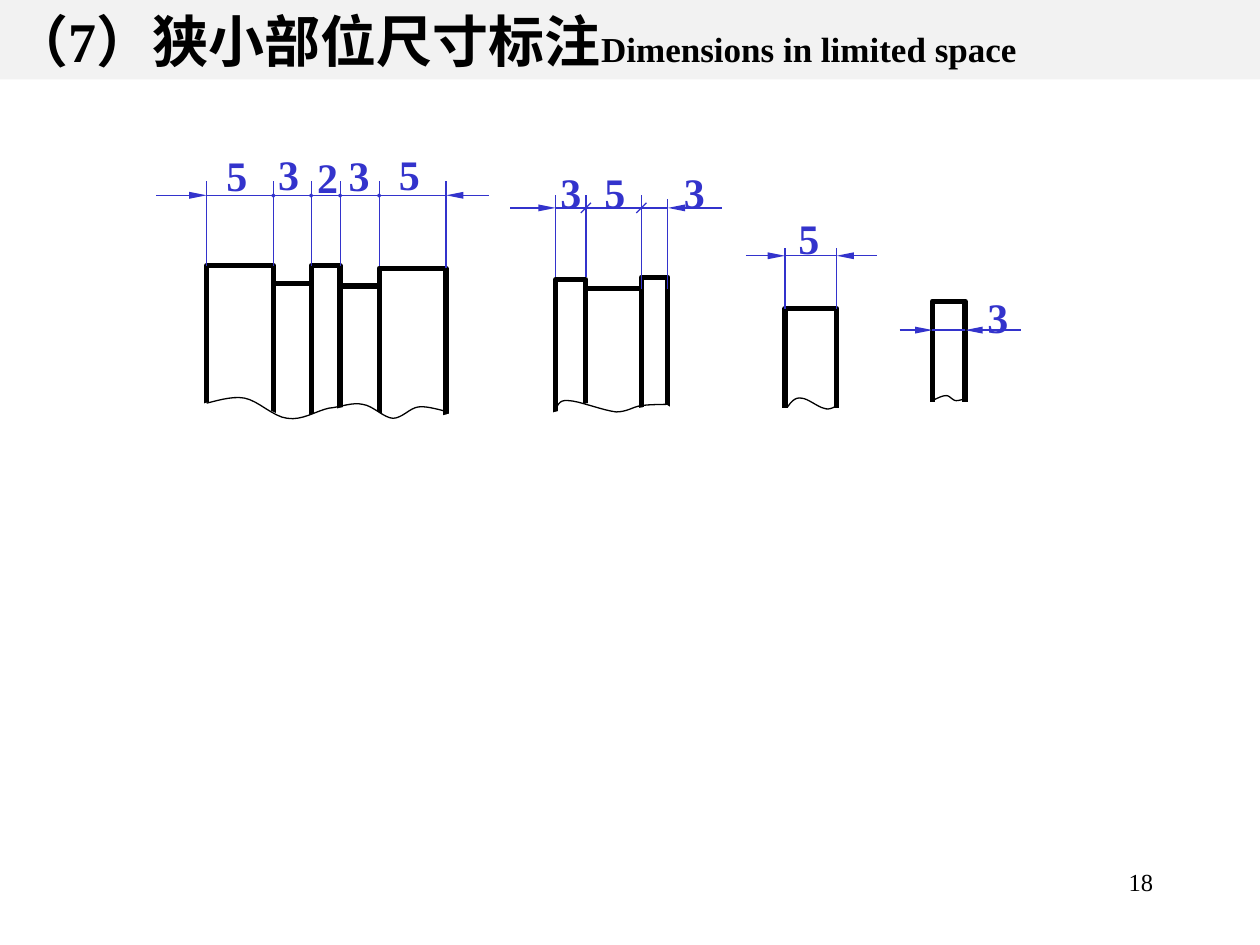
"""Build the slide on dimensioning in limited space."""
from lxml import etree
from pptx import Presentation, util as u
from pptx.dml.color import RGBColor
from pptx.enum import shapes, text
from pptx.oxml.ns import qn

BLACK = RGBColor(0x00, 0x00, 0x00)
WHITE = RGBColor(0xFF, 0xFF, 0xFF)
BAND = RGBColor(0xF2, 0xF2, 0xF2)
BLUE = RGBColor(0x33, 0x33, 0xCC)
FONT = "Times New Roman"
UNIT_CM = 2.54
CURVE_STEPS = 8

TITLE = [("（7）狭小部位尺寸标注", 32), ("Dimensions in limited space", 20)]
PAGE_NUMBER = "18"

VIEWS = [
    {
        "edges": [1.64, 2.17, 2.47, 2.7, 3.01, 3.54],
        "bars": [(2.11, 1.7), (2.25, 1.41), (2.11, 1.7), (2.27, 1.41), (2.13, 1.7)],
        "extensions": [(2.11, 1.44)] * 5 + [(2.13, 1.44)],
        "dimension": (1.24, 1.55, 3.88),
        "separator": "dot",
        "labels": [("5", 1.88, 1.39), ("3", 2.29, 1.38), ("2", 2.6, 1.4),
                   ("3", 2.85, 1.39), ("5", 3.25, 1.38)],
        "mask": [(1.49, 3.24), (1.87, 3.13), (2.3, 3.33), (2.86, 3.2), (3.22, 3.38),
                 (3.72, 3.24), (3.72, 3.94), (1.46, 3.94)],
        "wave": [(1.64, 3.2), (1.69, 3.19), (1.84, 3.14), (1.94, 3.16),
                 (2.05, 3.18), (2.17, 3.31), (2.28, 3.32), (2.4, 3.34), (2.51, 3.26),
                 (2.61, 3.24), (2.71, 3.23), (2.8, 3.19), (2.88, 3.21), (2.96, 3.22),
                 (3.05, 3.32), (3.12, 3.32), (3.19, 3.32), (3.25, 3.24), (3.32, 3.23),
                 (3.39, 3.22), (3.51, 3.26), (3.56, 3.27)],
    },
    {
        "edges": [4.41, 4.65, 5.09, 5.3],
        "bars": [(2.22, 1.51), (2.29, 1.37), (2.2, 1.54)],
        "extensions": [(2.2, 1.55), (2.2, 1.55), (2.29, 1.55), (2.29, 1.58)],
        "dimension": (4.05, 1.65, 5.73),
        "separator": "slash",
        "labels": [("3", 4.53, 1.52), ("5", 4.88, 1.52), ("3", 5.51, 1.52)],
        "mask": [(4.26, 3.31), (4.66, 3.2), (4.91, 3.27), (5.27, 3.2), (5.45, 3.31),
                 (5.45, 3.9), (4.21, 3.83)],
        "wave": [(4.41, 3.24), (4.43, 3.23), (4.43, 3.17), (4.51, 3.18),
                 (4.59, 3.18), (4.79, 3.26), (4.89, 3.27), (4.98, 3.27), (5.02, 3.23),
                 (5.09, 3.22), (5.16, 3.21), (5.27, 3.21), (5.31, 3.21)],
    },
    {
        "edges": [6.23, 6.64],
        "bars": [(2.45, 1.03)],
        "extensions": [(2.45, 1.97)] * 2,
        "dimension": (5.92, 2.03, 6.96),
        "labels": [("5", 6.42, 1.89)],
        "mask": [(6.17, 3.24), (6.73, 3.24), (6.73, 3.57), (6.17, 3.57)],
        "wave": [(6.25, 3.23), (6.28, 3.19), (6.31, 3.15), (6.36, 3.16),
                 (6.41, 3.16), (6.49, 3.23), (6.54, 3.24), (6.59, 3.26), (6.63, 3.22),
                 (6.65, 3.22)],
    },
    {
        "edges": [7.4, 7.66],
        "bars": [(2.39, 1.08)],
        "extensions": [],
        "dimension": (7.14, 2.62, 8.1),
        "labels": [("3", 7.92, 2.51)],
        "mask": [(7.34, 3.19), (7.73, 3.19), (7.73, 3.53), (7.34, 3.53)],
        "wave": [(7.4, 3.18), (7.44, 3.16), (7.48, 3.14), (7.51, 3.14),
                 (7.54, 3.14), (7.56, 3.18), (7.59, 3.18), (7.61, 3.18), (7.64, 3.17),
                 (7.68, 3.16)],
    },
]


def scaled(*values):
    return [u.Cm(UNIT_CM * value) for value in values]


def style_span(span, size, colour, bold=True):
    span.font.name = FONT
    span.font.size = u.Pt(size)
    span.font.bold = bold
    span.font.color.rgb = colour


def add_rectangle(parent, left, top, width, height):
    box = parent.add_shape(shapes.MSO_SHAPE.RECTANGLE, *scaled(left, top, width, height))
    box.shadow.inherit = False
    return box


def add_line(parent, start, end, arrow=False):
    line = parent.add_connector(shapes.MSO_CONNECTOR.STRAIGHT, *scaled(*start, *end))
    line.line.color.rgb = BLUE
    line.line.width = u.Pt(0.75)
    properties = line._element.spPr
    if arrow:
        etree.SubElement(properties.find(qn("a:ln")), qn("a:tailEnd"),
                         type="triangle", w="sm", len="lg")
    etree.SubElement(properties, qn("a:effectLst"))


def add_label(parent, wording, x, y, width, height, size):
    box = parent.add_textbox(*scaled(x - width / 2, y - height / 2, width, height))
    frame = box.text_frame
    frame.text = wording
    frame.word_wrap = False
    frame.auto_size = text.MSO_AUTO_SIZE.SHAPE_TO_FIT_TEXT
    frame.vertical_anchor = text.MSO_ANCHOR.MIDDLE
    para = frame.paragraphs[0]
    para.alignment = text.PP_ALIGN.CENTER
    style_span(para.runs[0], size, BLUE)


def add_outline(parent, points, close):
    first, *rest = [scaled(*point) for point in points]
    builder = parent.build_freeform(*first)
    builder.add_line_segments(rest, close=close)
    outline = builder.convert_to_shape()
    outline.shadow.inherit = False
    return outline


def trace_curve(knots):
    points = [knots[0]]
    for i in range(0, len(knots) - 1, 3):
        for step in range(1, CURVE_STEPS + 1):
            t = step / CURVE_STEPS
            weights = ((1 - t) ** 3, 3 * t * (1 - t) ** 2, 3 * t * t * (1 - t), t ** 3)
            points.append([sum(w * knot[axis] for w, knot in zip(weights, knots[i:i + 4]))
                           for axis in (0, 1)])
    return points


def draw_view(page, view):
    group = page.shapes.add_group_shape().shapes
    edges = view["edges"]
    for left, right, (top, height) in zip(edges, edges[1:], view["bars"]):
        bar = add_rectangle(group, left, top, right - left, height)
        bar.fill.background()
        bar.line.color.rgb = BLACK
        bar.line.width = u.Pt(3)
    for x, (low, high) in zip(edges, view["extensions"]):
        add_line(group, (x, low), (x, high))
    start, y, end = view["dimension"]
    add_line(group, (start, y), (edges[0], y), arrow=True)
    add_line(group, (edges[0], y), (edges[-1], y))
    add_line(group, (end, y), (edges[-1], y), arrow=True)
    for x in edges[1:-1]:
        if view["separator"] == "dot":
            add_label(group, "●", x, y, 0.27, 0.18, 5)
        else:
            add_line(group, (x + 0.04, y - 0.04), (x - 0.04, y + 0.04))
    for wording, x, middle in view["labels"]:
        add_label(group, wording, x, middle, 0.37, 0.5, 24)
    mask = add_outline(group, view["mask"], close=True)
    mask.fill.solid()
    mask.fill.fore_color.rgb = WHITE
    mask.line.fill.background()
    wave = add_outline(group, trace_curve(view["wave"]), close=False)
    wave.fill.background()
    wave.line.color.rgb = BLACK
    wave.line.width = u.Pt(0.75)


def main():
    deck = Presentation()
    deck.slide_width, deck.slide_height = scaled(10, 7.5)
    page = deck.slides.add_slide(deck.slide_layouts[6])

    number = page.shapes.add_textbox(*scaled(7.17, 6.83, 2.08, 0.5)).text_frame
    number.word_wrap = True
    number.text = PAGE_NUMBER
    number.paragraphs[0].alignment = text.PP_ALIGN.RIGHT
    style_span(number.paragraphs[0].runs[0], 14, BLACK, bold=False)

    band = add_rectangle(page.shapes, 0, 0, 10, 0.63)
    band.fill.solid()
    band.fill.fore_color.rgb = BAND
    band.line.fill.background()
    band.text_frame.vertical_anchor = text.MSO_ANCHOR.MIDDLE
    para = band.text_frame.paragraphs[0]
    para.alignment = text.PP_ALIGN.LEFT
    for wording, size in TITLE:
        span = para.add_run()
        span.text = wording
        style_span(span, size, BLACK)

    for view in VIEWS:
        draw_view(page, view)
    deck.save("out.pptx")


if __name__ == "__main__":
    main()
